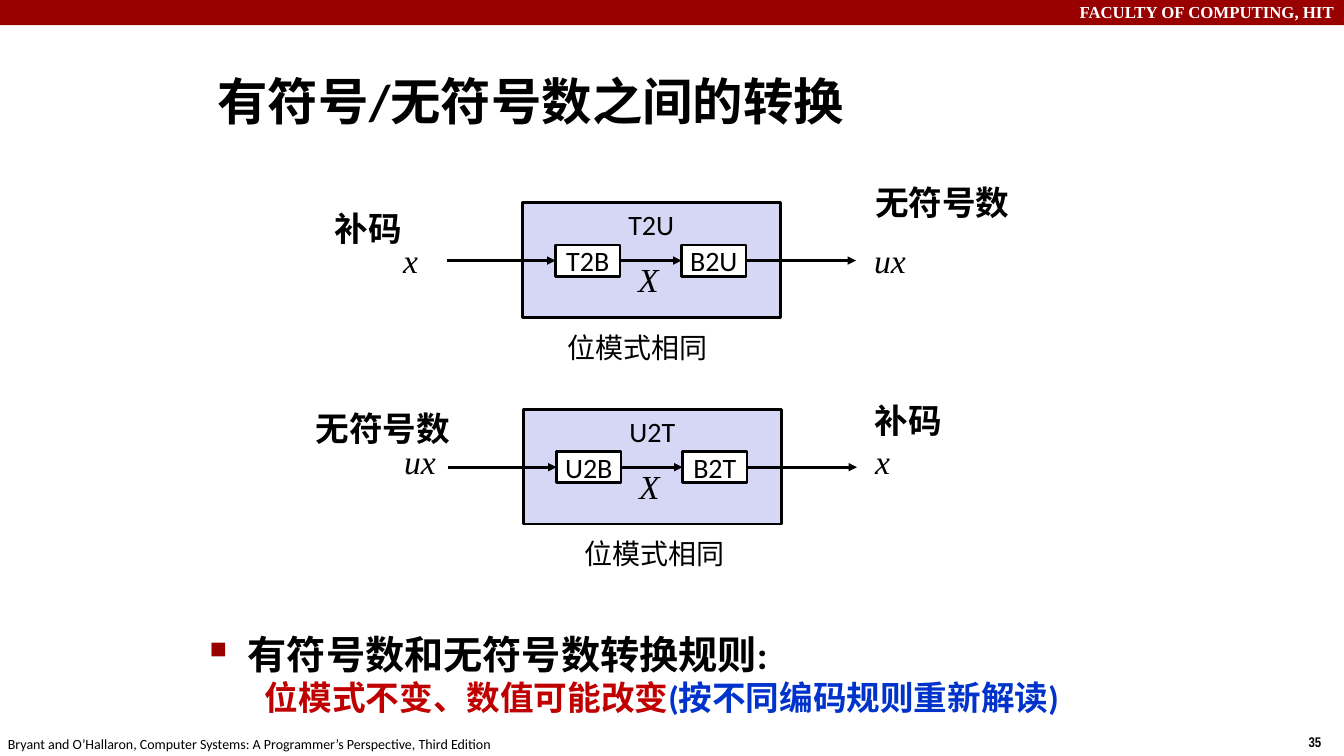
from lxml import etree
from pptx import Presentation
from pptx import util as u
from pptx.dml.color import RGBColor
from pptx.enum import shapes, text
from pptx.oxml import ns

SANS, SERIF, NARROW = "Calibri", "Times New Roman", "Arial Narrow"
BLACK, WHITE, RED, LILAC = "000000", "FFFFFF", "990000", "D6D6F5"
LEFT, RIGHT_SIDE = 1, 3


def color(value):
    return RGBColor.from_string(value)


def write(para, content, size=20, font=SANS, ink=BLACK, bold=False, italic=False):
    span = para.add_run()
    span.text = content
    span.font.size, span.font.name = u.Pt(size), font
    span.font.bold, span.font.italic = bold, italic
    span.font.color.rgb = color(ink)


def indent(para, margin, first=0.0):
    props = para._p.get_or_add_pPr()
    props.set("marL", str(u.Inches(margin)))
    props.set("indent", str(u.Inches(first)))
    return props


class Slide:
    def __init__(self, deck):
        self.shapes = deck.slides.add_slide(deck.slide_layouts[6]).shapes

    def label(self, at, content="", align="LEFT", anchor="TOP", wrap=False, **style):
        box = self.shapes.add_textbox(*map(u.Inches, at))
        return self.fill_text(box, content, align, anchor, wrap, **style)

    def fill_text(self, box, content, align, anchor, wrap, **style):
        frame = box.text_frame
        frame.word_wrap = wrap
        frame.vertical_anchor = getattr(text.MSO_ANCHOR, anchor)
        para = frame.paragraphs[0]
        para.alignment = getattr(text.PP_ALIGN, align)
        if content:
            write(para, content, **style)
        return box

    def rect(self, at, fill, content="", anchor="MIDDLE", outline=True):
        box = self.shapes.add_shape(shapes.MSO_SHAPE.RECTANGLE, *map(u.Inches, at))
        box.shadow.inherit = False
        box.fill.solid()
        box.fill.fore_color.rgb = color(fill)
        if outline:
            box.line.color.rgb = color(BLACK)
            box.line.width = u.Pt(2)
        else:
            box.line.fill.background()
        return self.fill_text(box, content, "CENTER", anchor, False)

    def arrow(self, x1, x2, y, source=None, target=None):
        line = self.shapes.add_connector(
            shapes.MSO_CONNECTOR.STRAIGHT, *map(u.Inches, (x1, y, x2, y)))
        if source is not None:
            line.begin_connect(source, RIGHT_SIDE)
        if target is not None:
            line.end_connect(target, LEFT)
        line.line.color.rgb = color(BLACK)
        line.line.width = u.Pt(2)
        etree.SubElement(line.line._get_or_add_ln(), ns.qn("a:tailEnd"), type="triangle")
        etree.SubElement(line._element.spPr, ns.qn("a:effectLst"))

    def conversion(self, x, y, name, first, second):
        """Outer mapping box with two inner steps, joined by arrows."""
        self.rect((x, y, 2.56, 1.14), LILAC, name, anchor="TOP")
        steps = [self.rect((x + dx, y + 0.42, 0.64, 0.31), WHITE, step)
                 for dx, step in ((0.33, first), (1.58, second))]
        middle = y + 0.42 + 0.31 / 2
        self.arrow(x - 0.75, x + 0.33, middle, target=steps[0])
        self.arrow(x + 0.97, x + 1.58, middle, *steps)
        self.arrow(x + 2.22, x + 3.31, middle, source=steps[1])
        self.label((x + 1.05, y + 0.51, 0.4, 0.5), "X", size=24, font=SERIF, italic=True)


def main():
    deck = Presentation()
    deck.slide_width, deck.slide_height = u.Inches(13.33), u.Inches(7.5)
    page = Slide(deck)

    # Header band and footer
    page.rect((0, 0, 13.33, 0.25), RED, outline=False)
    page.label((0, -0.03, 13.33, 0.3), "FACULTY OF COMPUTING, HIT", align="RIGHT",
               wrap=True, size=12, font=SERIF, ink=WHITE, bold=True)
    page.label((12.88, 7.23, 0.34, 0.27), "35", size=10, font=NARROW, bold=True)
    page.label((-0.02, 7.25, 5.08, 0.27),
               "Bryant and O’Hallaron, Computer Systems: "
               "A Programmer’s Perspective, Third Edition", size=10)

    # Title
    page.label((2.06, 0.58, 8.3, 0.83), "有符号/无符号数之间的转换",
               anchor="MIDDLE", wrap=True, size=36, bold=True)

    # Both conversions
    page.conversion(5.18, 2.01, "T2U", "T2B", "B2U")
    page.conversion(5.19, 4.06, "U2T", "U2B", "B2T")

    # Number kinds, variables and captions
    for x, y, width, kind in ((3.22, 2.01, 0.87, "补码"), (8.58, 1.76, 1.55, "无符号数"),
                              (3.03, 4.0, 1.55, "无符号数"), (8.58, 3.92, 0.87, "补码")):
        page.label((x, y, width, 0.5), kind, size=24, bold=True)
    for x, y, width, variable in ((3.9, 2.33, 0.35, "x"), (8.57, 2.33, 0.52, "ux"),
                                  (3.91, 4.33, 0.52, "ux"), (8.58, 4.33, 0.35, "x")):
        page.label((x, y, width, 0.5), variable, size=24, font=SERIF, italic=True)
    for x, y, width in ((4.89, 3.23, 2.86), (5.69, 5.27, 1.6)):
        page.label((x, y, width, 0.43), "位模式相同", align="CENTER")

    # Conversion rule
    frame = page.label((1.98, 6.2, 9.47, 0.97), wrap=True).text_frame
    rule = frame.paragraphs[0]
    write(rule, "有符号数和无符号数转换规则:", size=28, bold=True)
    props = indent(rule, 0.38, -0.38)
    bullet_color = etree.SubElement(props, ns.qn("a:buClr"))
    etree.SubElement(bullet_color, ns.qn("a:srgbClr"), val=RED)
    etree.SubElement(props, ns.qn("a:buSzPct"), val="60000")
    etree.SubElement(props, ns.qn("a:buChar"), char="■")
    detail = frame.add_paragraph()
    indent(detail, 0.55)
    write(detail, "位模式不变、数值可能改变", size=24, ink="C00000", bold=True)
    write(detail, "(按不同编码规则重新解读)", size=24, ink="0033CC", bold=True)

    deck.save("out.pptx")


if __name__ == "__main__":
    main()
